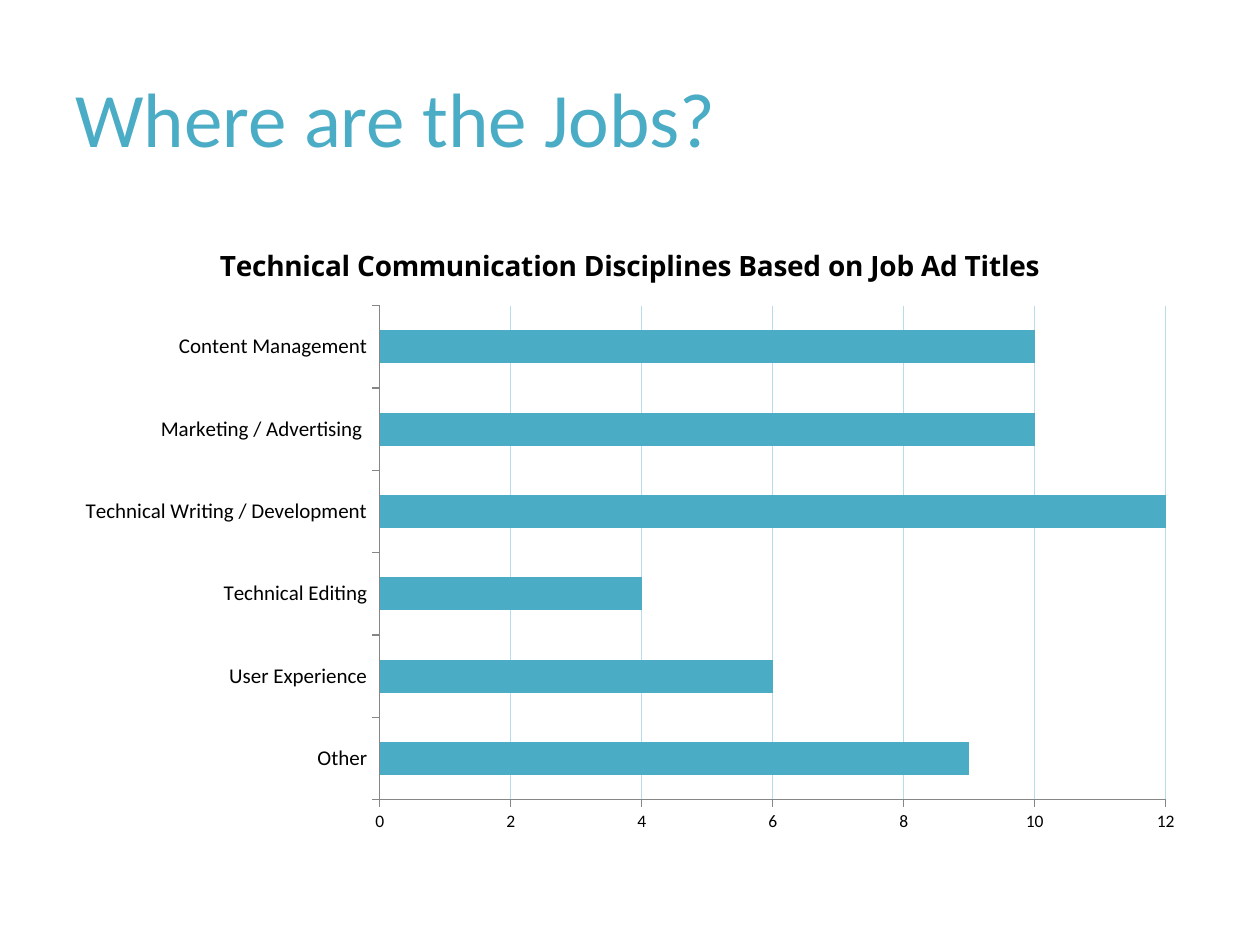
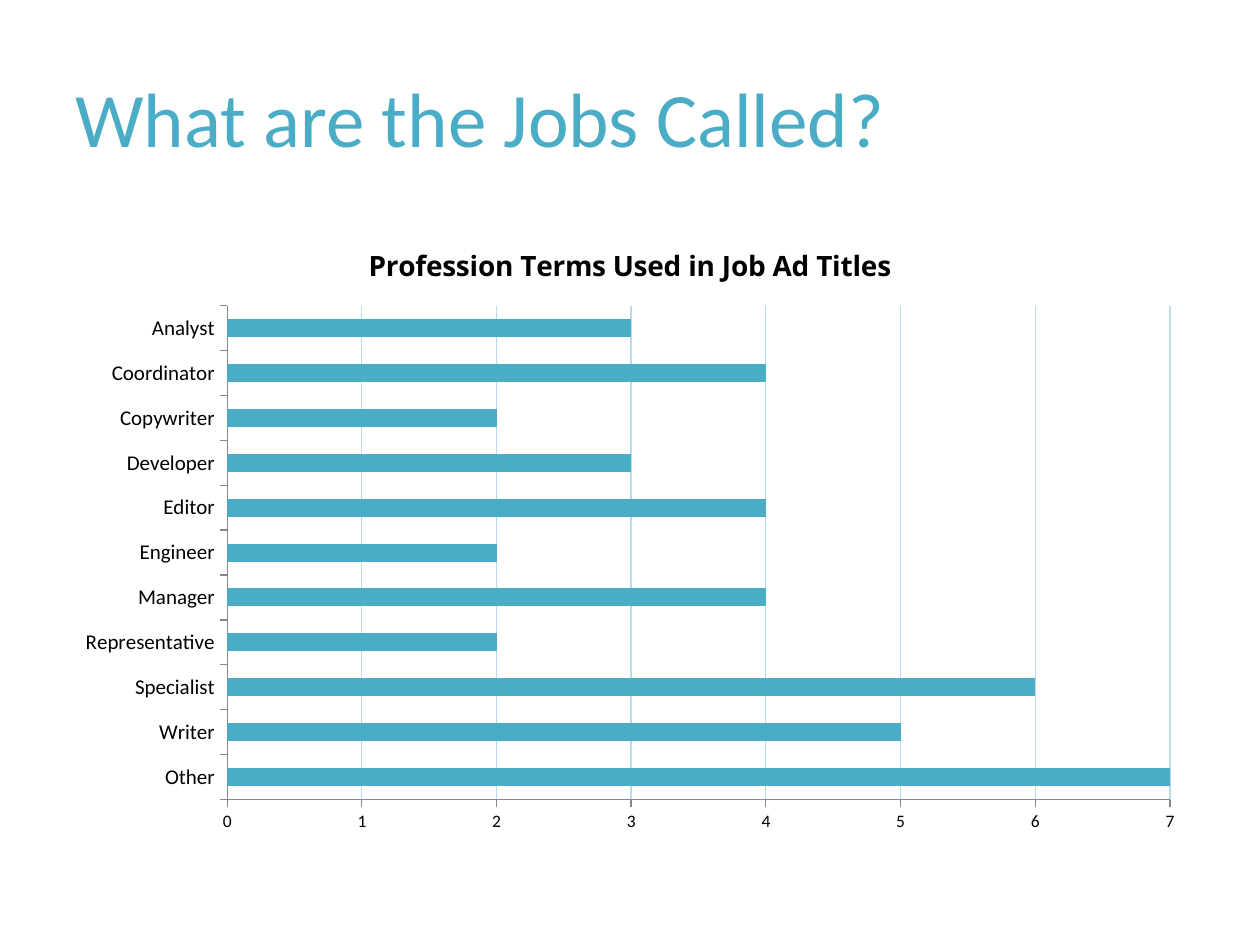
from pptx import Presentation
from pptx import util as u
from pptx.chart.data import CategoryChartData
from pptx.dml.color import RGBColor
from pptx.enum import chart as charts, text

PX = 9144  # 100 px to the inch
COLORS = {"accent": "4BACC6", "grid": "B7DEE8", "axis": "868686", "text": "000000"}
BODY_FONT = "Calibri"
CHART_TITLE_FONT = "Noto Sans"
MARGIN, CONTENT_WIDTH = 50, 900

JOB_CHARTS = [
    {
        "heading": "Where are the Jobs?",
        "chart_title": "Technical Communication Disciplines Based on Job Ad Titles",
        "counts": {
            "Other": 9,
            "User Experience": 6,
            "Technical Editing": 4,
            "Technical Writing / Development": 12,
            "Marketing / Advertising ": 10,
            "Content Management": 10,
        },
        "maximum": 12,
        "step": 2,
    },
    {
        "heading": "What are the Jobs Called?",
        "chart_title": "Profession Terms Used in Job Ad Titles",
        "counts": {
            "Other": 7,
            "Writer": 5,
            "Specialist": 6,
            "Representative": 2,
            "Manager": 4,
            "Engineer": 2,
            "Editor": 4,
            "Developer": 3,
            "Copywriter": 2,
            "Coordinator": 4,
            "Analyst": 3,
        },
        "maximum": 7,
        "step": 1,
    },
]


def write(frame, content, size, font=BODY_FONT, color="text", bold=False):
    """Fill a text frame with one formatted run."""
    run = frame.paragraphs[0].add_run()
    run.text = content
    run.font.size = u.Pt(size)
    run.font.name = font
    run.font.bold = bold
    run.font.color.rgb = RGBColor.from_string(COLORS[color])


presentation = Presentation()
presentation.slide_width = 1000 * PX
presentation.slide_height = 750 * PX
blank_layout = presentation.slide_layouts[6]

for job_chart in JOB_CHARTS:
    slide = presentation.slides.add_slide(blank_layout)

    heading = slide.shapes.add_textbox(MARGIN * PX, 30 * PX, CONTENT_WIDTH * PX, 125 * PX)
    heading.text_frame.word_wrap = True
    heading.text_frame.vertical_anchor = text.MSO_ANCHOR.MIDDLE
    write(heading.text_frame, job_chart["heading"], size=44, color="accent")

    data = CategoryChartData()
    data.categories = list(job_chart["counts"])
    data.add_series("Series 1", job_chart["counts"].values())
    chart = slide.shapes.add_chart(
        charts.XL_CHART_TYPE.BAR_CLUSTERED,
        MARGIN * PX, 175 * PX, CONTENT_WIDTH * PX, 495 * PX, data,
    ).chart
    chart.has_legend = False
    chart.font.name = BODY_FONT
    chart.font.size = u.Pt(10)
    chart.font.color.rgb = RGBColor.from_string(COLORS["text"])
    chart.has_title = True
    chart.chart_title.include_in_layout = False
    write(chart.chart_title.text_frame, job_chart["chart_title"],
          size=16, font=CHART_TITLE_FONT, bold=True)

    plot = chart.plots[0]
    plot.gap_width = 150
    plot.vary_by_categories = False
    bars = plot.series[0].format.fill
    bars.solid()
    bars.fore_color.rgb = RGBColor.from_string(COLORS["accent"])

    for axis, label_size in ((chart.category_axis, 12), (chart.value_axis, 10)):
        axis.major_tick_mark = charts.XL_TICK_MARK.OUTSIDE
        axis.minor_tick_mark = charts.XL_TICK_MARK.NONE
        axis.tick_labels.font.size = u.Pt(label_size)
        axis.tick_labels.font.name = BODY_FONT
        axis.format.line.width = u.Pt(0.75)
        axis.format.line.color.rgb = RGBColor.from_string(COLORS["axis"])

    counts_axis = chart.value_axis
    counts_axis.minimum_scale = 0
    counts_axis.maximum_scale = job_chart["maximum"]
    counts_axis.major_unit = job_chart["step"]
    counts_axis.has_major_gridlines = True
    gridline = counts_axis.major_gridlines.format.line
    gridline.width = u.Pt(0.75)
    gridline.color.rgb = RGBColor.from_string(COLORS["grid"])

presentation.save("out.pptx")
